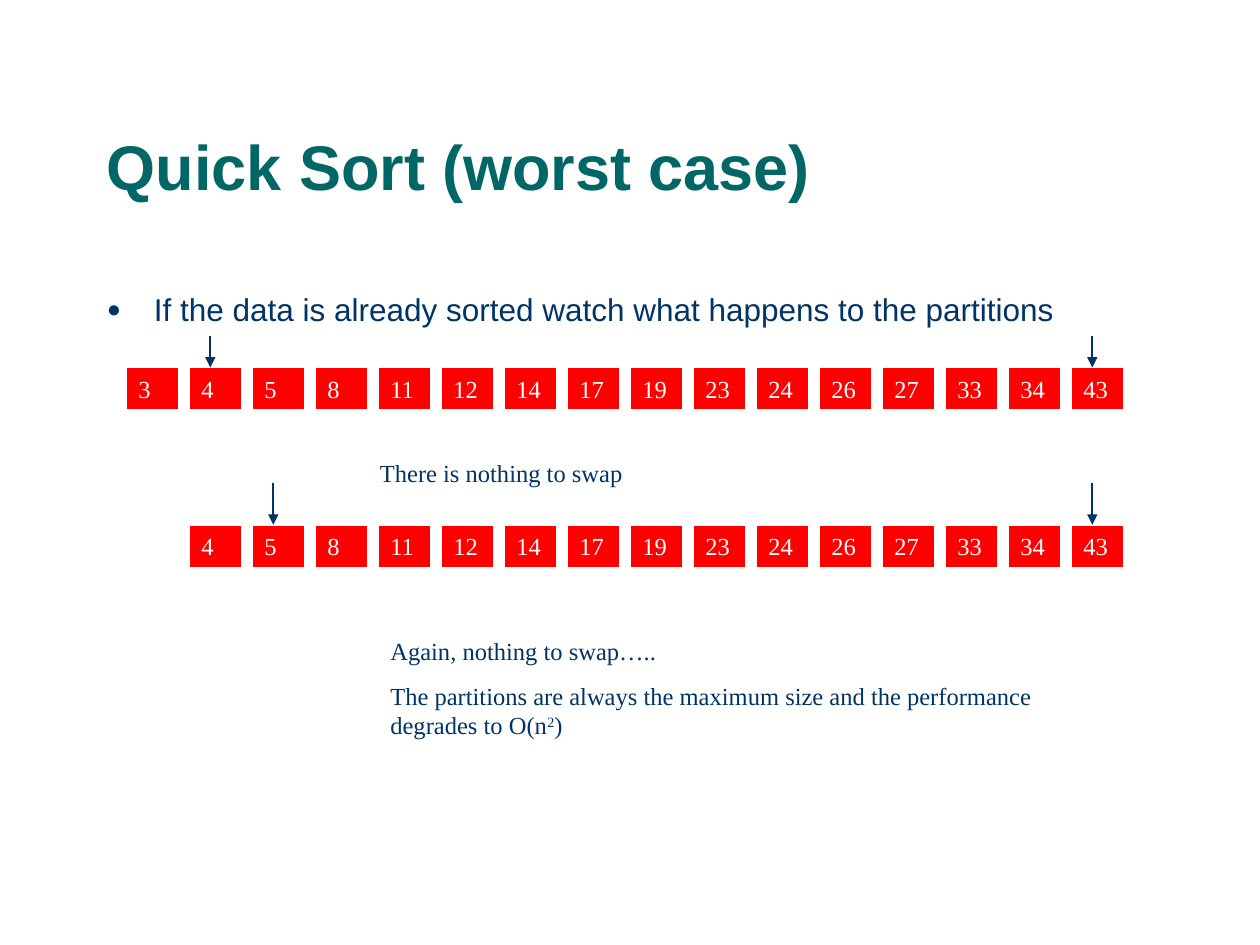
"""Build a slide showing how Quick Sort behaves on data that is already sorted."""

from lxml.etree import SubElement
from pptx import Presentation
from pptx.dml.color import RGBColor
from pptx.enum.shapes import MSO_CONNECTOR, MSO_SHAPE
from pptx.enum.text import MSO_ANCHOR, MSO_AUTO_SIZE, PP_ALIGN
from pptx.oxml.ns import qn
from pptx.util import Cm, Pt

COLORS = {"title": "006666", "text": "003366", "cell": "FF0000", "white": "FFFFFF"}
VALUES = [3, 4, 5, 8, 11, 12, 14, 17, 19, 23, 24, 26, 27, 33, 34, 43]
FIRST_LEFT, PITCH = 2.54, 1.27
CELL_WIDTH, CELL_HEIGHT = 1.07, 0.86
POINTER_OFFSET = 0.43


def format_text(shape, font_name, size, color, anchor=MSO_ANCHOR.TOP):
    text_frame = shape.text_frame
    text_frame.word_wrap = True
    text_frame.auto_size = MSO_AUTO_SIZE.NONE
    text_frame.vertical_anchor = anchor
    for paragraph in text_frame.paragraphs:
        paragraph.alignment = PP_ALIGN.LEFT
        for run in paragraph.runs:
            run.font.name = font_name
            run.font.size = Pt(size)
            run.font.color.rgb = RGBColor.from_string(COLORS[color])


def add_pointer(slide, column, top, bottom):
    x = Cm(FIRST_LEFT + column * PITCH + POINTER_OFFSET)
    pointer = slide.shapes.add_connector(MSO_CONNECTOR.STRAIGHT, x, Cm(top), x, Cm(bottom))
    pointer.line.color.rgb = RGBColor.from_string(COLORS["text"])
    pointer.line.width = Pt(1)
    SubElement(pointer.line._get_or_add_ln(), qn("a:tailEnd"), type="triangle")
    SubElement(pointer._element.spPr, qn("a:effectLst"))


presentation = Presentation()
presentation.slide_width, presentation.slide_height = Cm(25.4), Cm(19.05)
slide = presentation.slides.add_slide(presentation.slide_layouts[1])

title = slide.shapes.title
title.left, title.top, title.width, title.height = Cm(1.9), Cm(1.06), Cm(21.6), Cm(3.18)
title.text_frame.text = "Quick Sort (worst case)"
format_text(title, "Arial", 36, "title", MSO_ANCHOR.BOTTOM)
title.text_frame.paragraphs[0].line_spacing = 0.9
title.text_frame.paragraphs[0].runs[0].font.bold = True

body = slide.placeholders[1]
body.left, body.top, body.width, body.height = Cm(1.9), Cm(5.72), Cm(21.6), Cm(11.43)
body.text_frame.text = "If the data is already sorted watch what happens to the partitions"
paragraph = body.text_frame.paragraphs[0]
properties = paragraph._p.get_or_add_pPr()
properties.set("marL", str(Cm(0.95)))
properties.set("indent", str(Cm(-0.95)))
bullet_color = SubElement(properties, qn("a:buClr"))
SubElement(bullet_color, qn("a:srgbClr"), val=COLORS["text"])
SubElement(properties, qn("a:buSzPct"), val="75000")
SubElement(properties, qn("a:buChar"), char="●")
paragraph.space_before = Pt(0)
format_text(body, "Arial", 18, "text")

for first_column, top, pointer_top in [(0, 7.41, 6.77), (1, 10.58, 9.74)]:
    for column, value in enumerate(VALUES[first_column:], first_column):
        cell = slide.shapes.add_shape(
            MSO_SHAPE.RECTANGLE, Cm(FIRST_LEFT + column * PITCH), Cm(top),
            Cm(CELL_WIDTH), Cm(CELL_HEIGHT))
        cell.shadow.inherit = False
        cell.fill.solid()
        cell.fill.fore_color.rgb = RGBColor.from_string(COLORS["cell"])
        cell.line.color.rgb = RGBColor.from_string(COLORS["white"])
        cell.line.width = Pt(1)
        cell.text_frame.text = str(value)
        format_text(cell, "Times New Roman", 14, "white", MSO_ANCHOR.MIDDLE)
    for column in (first_column + 1, len(VALUES) - 1):
        add_pointer(slide, column, pointer_top, top)

swap_note = slide.shapes.add_textbox(Cm(7.41), Cm(9.1), Cm(8.68), Cm(0.86))
swap_note.text_frame.text = "There is nothing to swap"
format_text(swap_note, "Times New Roman", 14, "text")

conclusion = slide.shapes.add_textbox(Cm(7.62), Cm(12.7), Cm(15.24), Cm(2.34))
conclusion.text_frame.text = "Again, nothing to swap….."
paragraph = conclusion.text_frame.add_paragraph()
paragraph.text = "The partitions are always the maximum size and the performance degrades to O(n"
paragraph.space_before = Pt(8.8)
exponent = paragraph.add_run()
exponent.text = "2"
exponent.font._element.set("baseline", "30000")
paragraph.add_run().text = ")"
format_text(conclusion, "Times New Roman", 14, "text")

presentation.save("out.pptx")
